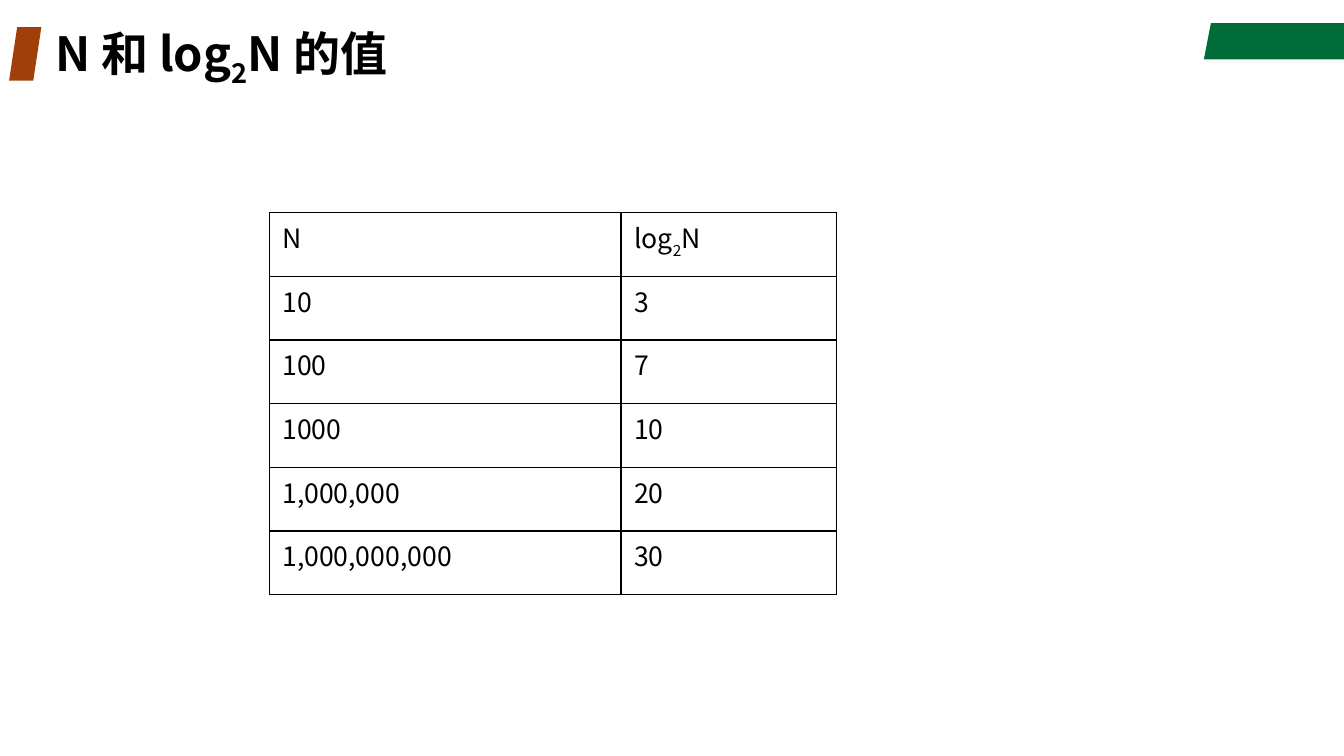
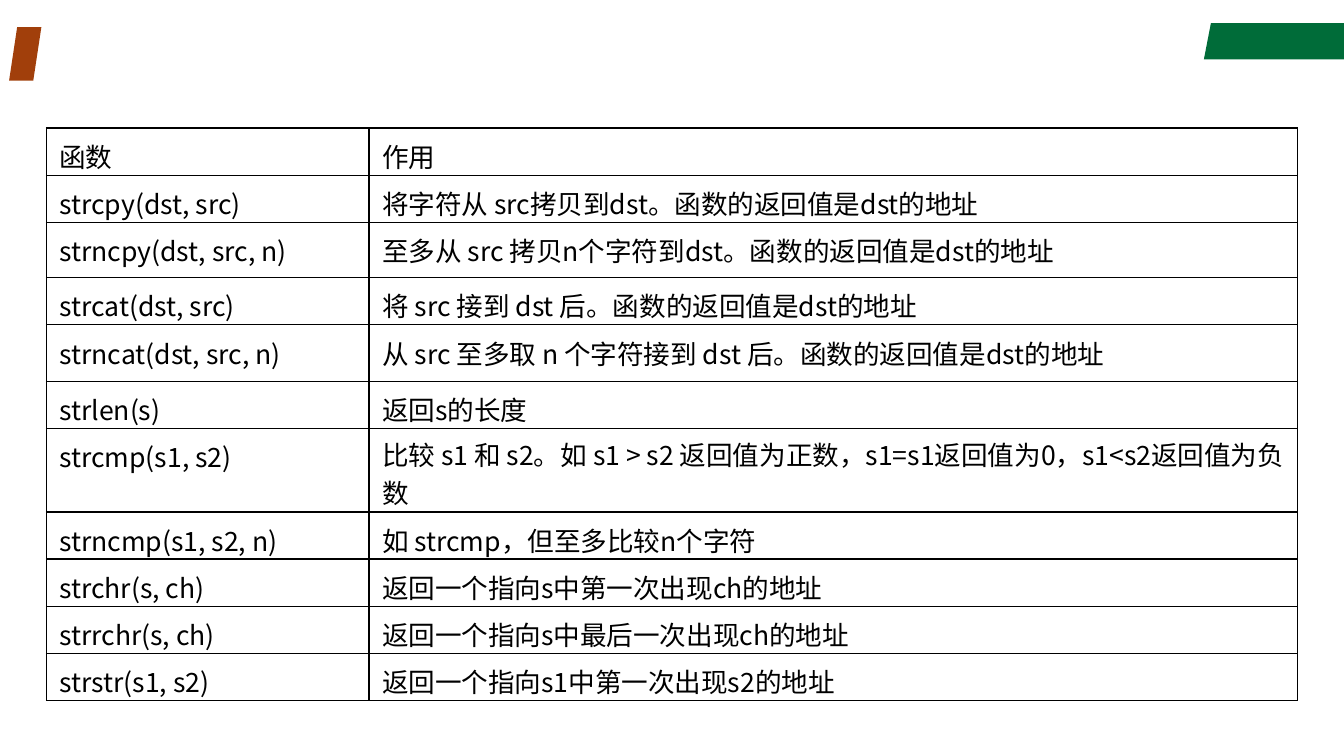
"""Build two slides with ruled tables: values of log N and C string functions."""
from dataclasses import dataclass

import lxml.etree
import pptx
import pptx.dml.color
import pptx.enum.shapes
import pptx.enum.text
import pptx.oxml.ns
import pptx.presentation
import pptx.shapes.base
import pptx.slide
import pptx.table
import pptx.text.text
import pptx.util

Inches = pptx.util.Inches
Pt = pptx.util.Pt
Color = pptx.dml.color.RGBColor
qn = pptx.oxml.ns.qn


@dataclass(frozen=True)
class Theme:
    font: str = "Noto Sans CJK SC"
    ink: Color = Color(0x00, 0x00, 0x00)
    green: Color = Color(0x00, 0x6C, 0x39)
    rust: Color = Color(0xA1, 0x3F, 0x0B)
    title: float = 33.6
    body: float = 19
    rule: float = 1


@dataclass(frozen=True)
class Style:
    leading: float = 1.0
    hang: float = 0
    above: float = 0.05
    below: float = 0.05


@dataclass(frozen=True)
class Grid:
    left: float
    top: float
    cols: tuple[float, ...]
    heights: tuple[float, ...]
    rows: tuple[tuple[str, str], ...]
    style: Style


THEME = Theme()
PLAIN = Style()
HANG = Style(leading=1.09, hang=0.52, below=0)
TIGHT = Style(above=0.06, below=0)
LOW = 3.74 / 8

LOGS = Grid(
    2.67, 2.11, (3.49, 2.14), (3.79 / 6,) * 6,
    (
        ("N", "log|2|N"),
        ("10", "3"),
        ("100", "7"),
        ("1000", "10"),
        ("1,000,000", "20"),
        ("1,000,000,000", "30"),
    ),
    PLAIN,
)

STRINGS = Grid(
    0.46, 1.27, (3.2, 9.21),
    (LOW, LOW, 0.55, LOW, 0.56, LOW, 0.83, LOW, LOW, LOW, LOW),
    (
        ("函数", "作用"),
        ("strcpy(dst, src)", "将字符从 src拷贝到dst。函数的返回值是dst的地址"),
        ("strncpy(dst, src, n)", "至多从 src 拷贝n个字符到dst。函数的返回值是dst的地址"),
        ("strcat(dst, src)", "将 src 接到 dst 后。函数的返回值是dst的地址"),
        ("strncat(dst, src, n)", "从 src 至多取 n 个字符接到 dst 后。函数的返回值是dst的地址"),
        ("strlen(s)", "返回s的长度"),
        ("strcmp(s1, s2)", "比较 s1 和 s2。如 s1 > s2 返回值为正数，s1=s1返回值为0，s1<s2返回值为负数"),
        ("strncmp(s1, s2, n)", "如 strcmp，但至多比较n个字符"),
        ("strchr(s, ch)", "返回一个指向s中第一次出现ch的地址"),
        ("strrchr(s, ch)", "返回一个指向s中最后一次出现ch的地址"),
        ("strstr(s1, s2)", "返回一个指向s1中第一次出现s2的地址"),
    ),
    HANG,
)


def write(para: pptx.text.text._Paragraph, text: str, size: float,
          bold: bool = False, drop: int = -30) -> None:
    for index, part in enumerate(text.split("|")):
        run = para.add_run()
        run.text = part
        run.font.size = Pt(size)
        run.font.bold = bold
        run.font.color.rgb = THEME.ink
        run.font.name = THEME.font
        props = run.font._element
        lxml.etree.SubElement(props, qn("a:ea"), typeface=THEME.font)
        if index % 2:
            props.set("baseline", str(drop * 1000))


def paint(shape: pptx.shapes.base.BaseShape, color: Color) -> None:
    shape.shadow.inherit = False
    shape.fill.solid()
    shape.fill.fore_color.rgb = color
    shape.line.fill.background()


def add_bands(deck: pptx.presentation.Presentation, slide: pptx.slide.Slide) -> None:
    pen = slide.shapes.build_freeform(Inches(12.01), Inches(0.23))
    pen.add_line_segments(
        [(Inches(x), Inches(y)) for x, y in ((13.33, 0.23), (13.33, 0.59), (11.94, 0.59))])
    band = pen.convert_to_shape()
    mark = slide.shapes.add_shape(
        pptx.enum.shapes.MSO_SHAPE.PARALLELOGRAM,
        Inches(0.09), Inches(0.27), Inches(0.32), Inches(0.53))
    paint(band, THEME.green)
    paint(mark, THEME.rust)
    for index, shape in enumerate((band, mark)):
        shape.element.xpath(".//p:cNvPr")[0].set("id", str(20 + index))
        deck.slide_master.shapes.element.insert(2 + index, shape.element)


def add_title(slide: pptx.slide.Slide, text: str) -> None:
    title = slide.shapes.title
    title.left, title.top = Inches(0.45), Inches(0.27)
    title.width, title.height = Inches(9.45), Inches(0.53)
    frame = title.text_frame
    frame.auto_size = pptx.enum.text.MSO_AUTO_SIZE.NONE
    frame.vertical_anchor = pptx.enum.text.MSO_ANCHOR.MIDDLE
    para = frame.paragraphs[0]
    para.alignment = pptx.enum.text.PP_ALIGN.LEFT
    para.line_spacing = 0.9
    write(para, text, THEME.title, bold=True, drop=-25)


def add_rules(cell: pptx.table._Cell) -> None:
    props = cell._tc.get_or_add_tcPr()
    for index, side in enumerate(("lnL", "lnR", "lnT", "lnB")):
        line = lxml.etree.Element(qn(f"a:{side}"), w=str(Pt(THEME.rule)))
        fill = lxml.etree.SubElement(line, qn("a:solidFill"))
        lxml.etree.SubElement(fill, qn("a:srgbClr"), val=str(THEME.ink))
        props.insert(index, line)


def fill_cell(cell: pptx.table._Cell, text: str, style: Style) -> None:
    cell.margin_left = cell.margin_right = Inches(0.13)
    cell.margin_top = Inches(style.above)
    cell.margin_bottom = Inches(style.below)
    cell.fill.background()
    add_rules(cell)
    para = cell.text_frame.paragraphs[0]
    para.line_spacing = style.leading
    if style.hang:
        props = para._p.get_or_add_pPr()
        props.set("marL", str(Inches(style.hang)))
        props.set("indent", str(-Inches(style.hang)))
    write(para, text, THEME.body)


def add_grid(slide: pptx.slide.Slide, grid: Grid,
             special: dict[tuple[int, int], Style]) -> None:
    table = slide.shapes.add_table(
        len(grid.rows), len(grid.cols), Inches(grid.left), Inches(grid.top),
        Inches(sum(grid.cols)), Inches(sum(grid.heights))).table
    table.first_row = table.horz_banding = False
    for col, width in zip(table.columns, grid.cols):
        col.width = Inches(width)
    for row, height in zip(table.rows, grid.heights):
        row.height = Inches(height)
    for r, texts in enumerate(grid.rows):
        for c, text in enumerate(texts):
            fill_cell(table.cell(r, c), text, special.get((r, c), grid.style))


def main() -> None:
    deck = pptx.Presentation()
    deck.slide_width, deck.slide_height = Inches(13.33), Inches(7.5)
    titled, blank = deck.slide_layouts[5], deck.slide_layouts[6]

    values = deck.slides.add_slide(titled)
    add_bands(deck, values)
    add_title(values, "N 和 log|2|N 的值")
    add_grid(values, LOGS, {})

    add_grid(deck.slides.add_slide(blank), STRINGS, {(6, 1): TIGHT})
    deck.save("out.pptx")


if __name__ == "__main__":
    main()
